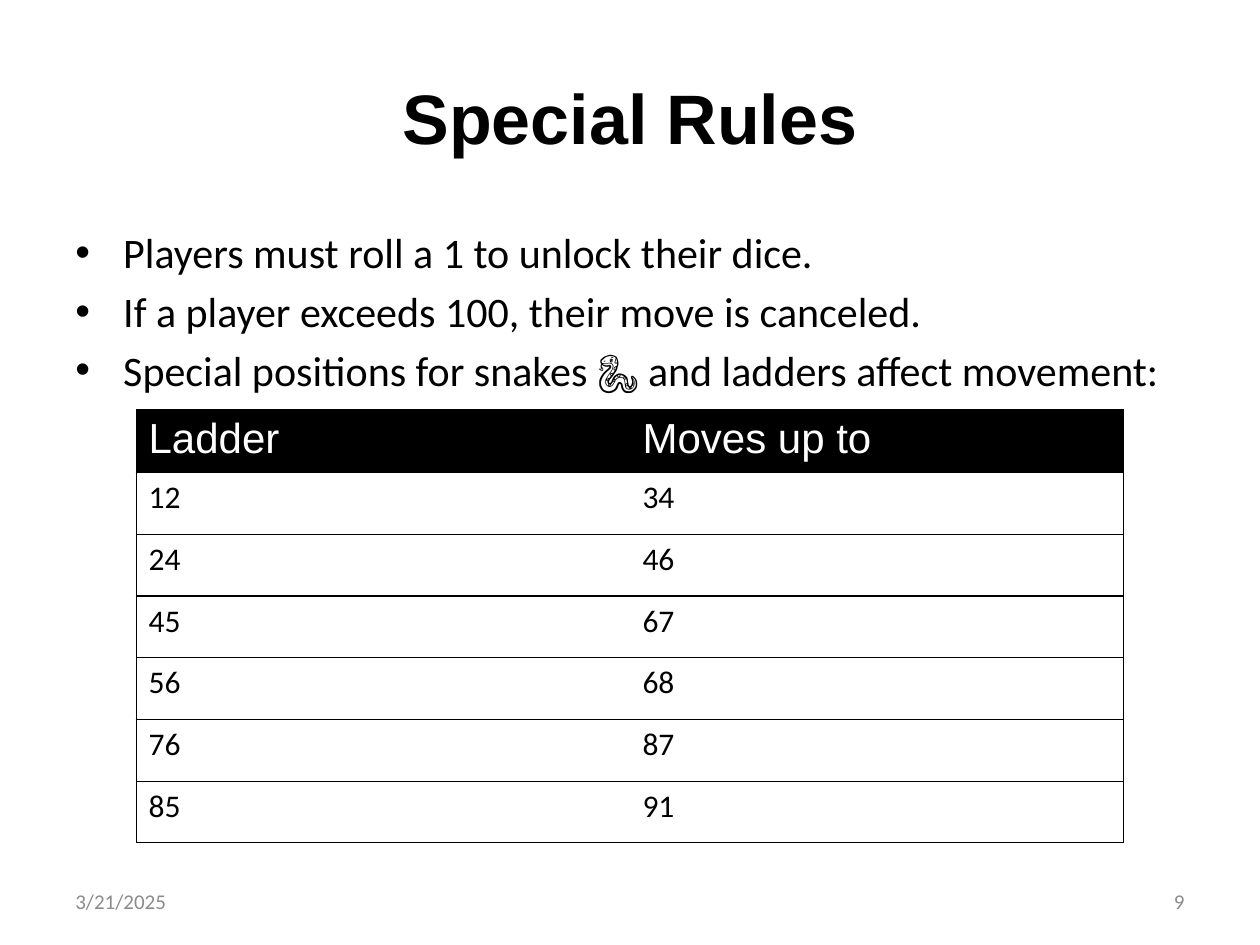
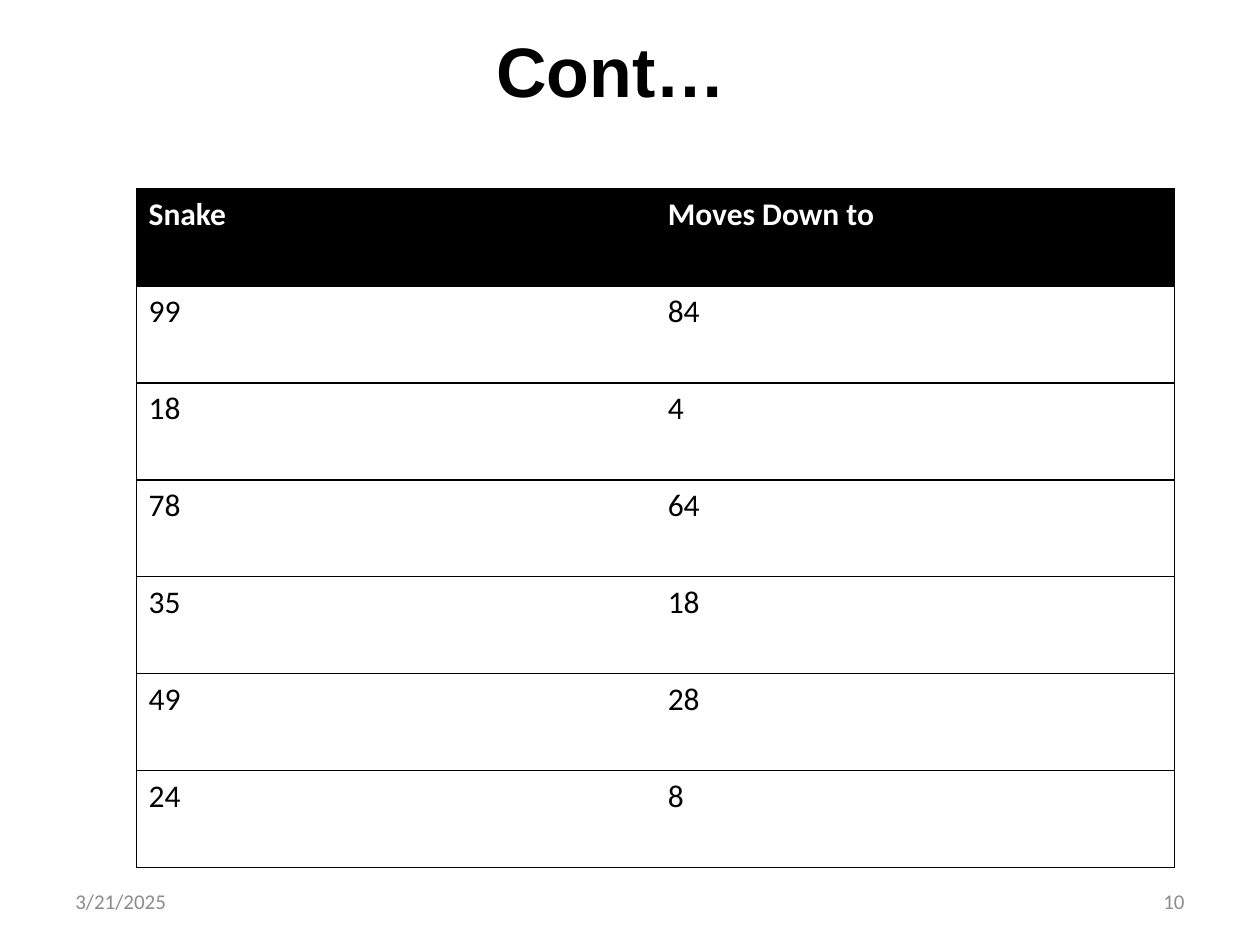
from dataclasses import dataclass

from lxml import etree
from pptx import Presentation
from pptx.dml.color import RGBColor
from pptx.enum.text import MSO_ANCHOR, MSO_AUTO_SIZE, PP_ALIGN
from pptx.oxml.ns import qn
from pptx.util import Inches, Pt

LEFT, CENTER, RIGHT = PP_ALIGN.LEFT, PP_ALIGN.CENTER, PP_ALIGN.RIGHT
TOP, MIDDLE = MSO_ANCHOR.TOP, MSO_ANCHOR.MIDDLE
NO_AUTOFIT = MSO_AUTO_SIZE.NONE
TITLE_ONLY = 5

# Content
DATE = "3/21/2025"
SLIDES = [
    {
        "title": "Special Rules",
        "title_at": (0.5, 0.3),
        "number": "9",
        "bullets": [
            "Players must roll a 1 to unlock their dice.",
            "If a player exceeds 100, their move is canceled.",
            "Special positions for snakes 🐍 and ladders affect movement:",
        ],
        "header": ("Ladder", "Moves up to"),
        "header_format": {"size": 24, "font": "Arial"},
        "moves": [(12, 34), (24, 46), (45, 67), (56, 68), (76, 87), (85, 91)],
        "table_at": (1.08, 3.25),
        "cell": (3.92, 0.49),
    },
    {
        "title": "Cont…",
        "title_at": (0.35, -0.07),
        "number": "10",
        "bullets": [],
        "header": ("Snake", "Moves Down to"),
        "header_format": {"size": 18, "bold": True},
        "moves": [(99, 84), (18, 4), (78, 64), (35, 18), (49, 28), (24, 8)],
        "table_at": (1.08, 1.5),
        "cell": (4.12, 0.77),
    },
]


@dataclass(frozen=True)
class Theme:
    ink: str = "000000"
    paper: str = "FFFFFF"
    muted: str = "8C8C8C"
    heading_font: str = "Arial"
    body_font: str = "Calibri"
    title_size: int = 40
    bullet_size: int = 24
    cell_size: int = 18
    footer_size: int = 12
    rule_width: float = 0.75


THEME = Theme()

# Layout, in inches
WIDTH, HEIGHT = 10, 7.5
MARGIN = 0.5
CONTENT_WIDTH = WIDTH - 2 * MARGIN
TITLE_HEIGHT = 1.25
BODY_TOP, BODY_HEIGHT = 1.75, 4.95
BULLET_INDENT = 0.38
FOOTER_TOP, FOOTER_WIDTH, FOOTER_HEIGHT = 6.95, 2.33, 0.4


def write(frame, text, size=THEME.cell_size, font=THEME.body_font, color=THEME.ink,
          bold=False, align=LEFT, anchor=TOP, bullet=False):
    """Fill a text frame, one paragraph per line of text."""
    frame.word_wrap = True
    frame.vertical_anchor = anchor
    frame.text = text
    for paragraph in frame.paragraphs:
        paragraph.alignment = align
        run_font = paragraph.runs[0].font
        run_font.size, run_font.name, run_font.bold = Pt(size), font, bold
        run_font.color.rgb = RGBColor.from_string(color)
        if bullet:
            add_bullet(paragraph, size)


def add_bullet(paragraph, size):
    paragraph.space_before = Pt(0.2 * size)
    properties = paragraph._p.get_or_add_pPr()
    properties.set("marL", str(Inches(BULLET_INDENT)))
    properties.set("indent", str(-Inches(BULLET_INDENT)))
    etree.SubElement(properties, qn("a:buFont"), typeface="Arial")
    etree.SubElement(properties, qn("a:buChar"), char="•")


def add_text(slide, text, left, top, width, height, **text_format):
    box = slide.shapes.add_textbox(*map(Inches, (left, top, width, height)))
    write(box.text_frame, text, **text_format)


def set_borders(cell, visible):
    """Rule the sides named in visible and clear the others."""
    properties = cell._tc.get_or_add_tcPr()
    for side in "LRTB":
        line = etree.SubElement(properties, qn(f"a:ln{side}"),
                                w=str(Pt(THEME.rule_width)))
        if side in visible:
            fill = etree.SubElement(line, qn("a:solidFill"))
            etree.SubElement(fill, qn("a:srgbClr"), val=THEME.ink)
        else:
            etree.SubElement(line, qn("a:noFill"))


def add_title(slide, text, left, top):
    title = slide.shapes.title
    title.left, title.top = Inches(left), Inches(top)
    title.width, title.height = Inches(CONTENT_WIDTH), Inches(TITLE_HEIGHT)
    write(title.text_frame, text, size=THEME.title_size, font=THEME.heading_font,
          bold=True, align=CENTER, anchor=MIDDLE)
    title.text_frame.auto_size = NO_AUTOFIT


def add_moves_table(slide, content):
    rows = [content["header"], *content["moves"]]
    column_count = len(content["header"])
    column_width, row_height = content["cell"]
    left, top = content["table_at"]
    table = slide.shapes.add_table(
        len(rows), column_count, Inches(left), Inches(top),
        Inches(column_width * column_count), Inches(row_height * len(rows))).table
    table.horz_banding = False
    for row_index, values in enumerate(rows):
        is_header = row_index == 0
        text_format = ({"color": THEME.paper, **content["header_format"]}
                       if is_header else {})
        for column_index, value in enumerate(values):
            cell = table.cell(row_index, column_index)
            set_borders(cell, "TBL" if column_index == 0 else "TBR")
            cell.fill.solid()
            cell.fill.fore_color.rgb = RGBColor.from_string(
                THEME.ink if is_header else THEME.paper)
            write(cell.text_frame, str(value), **text_format)


def add_footer(slide, number):
    right_edge = WIDTH - MARGIN - FOOTER_WIDTH
    for text, left, align in ((DATE, MARGIN, LEFT), (number, right_edge, RIGHT)):
        add_text(slide, text, left, FOOTER_TOP, FOOTER_WIDTH, FOOTER_HEIGHT,
                 size=THEME.footer_size, color=THEME.muted, align=align, anchor=MIDDLE)


def main():
    presentation = Presentation()
    presentation.slide_width, presentation.slide_height = Inches(WIDTH), Inches(HEIGHT)
    for content in SLIDES:
        slide = presentation.slides.add_slide(presentation.slide_layouts[TITLE_ONLY])
        add_title(slide, content["title"], *content["title_at"])
        if content["bullets"]:
            add_text(slide, "\n".join(content["bullets"]), MARGIN, BODY_TOP,
                     CONTENT_WIDTH, BODY_HEIGHT, size=THEME.bullet_size, bullet=True)
        add_moves_table(slide, content)
        add_footer(slide, content["number"])
    presentation.save("out.pptx")


if __name__ == "__main__":
    main()
